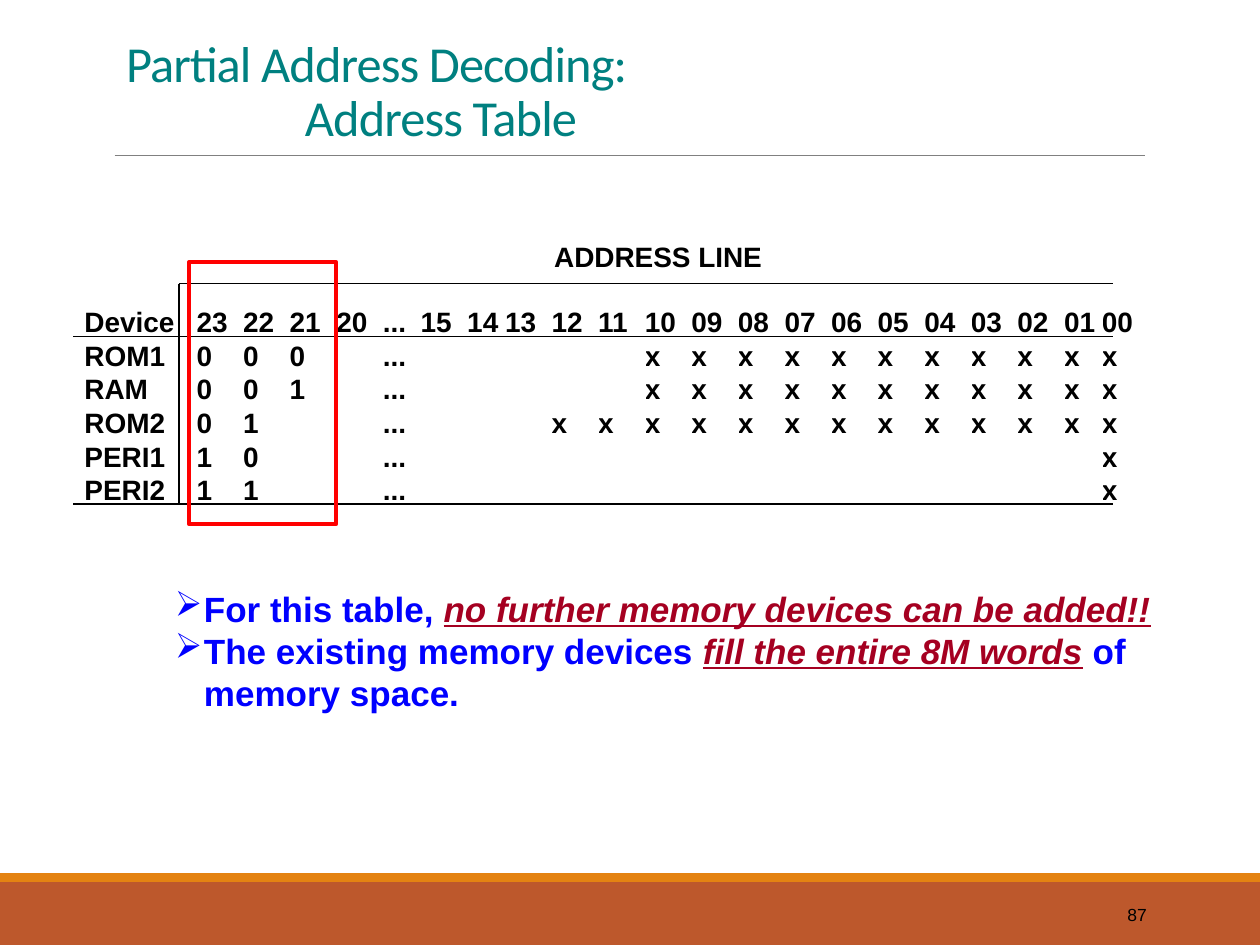
from dataclasses import dataclass

from lxml import etree
from pptx import Presentation
from pptx.dml.color import RGBColor
from pptx.enum.shapes import MSO_CONNECTOR, MSO_SHAPE
from pptx.enum.text import MSO_ANCHOR, MSO_AUTO_SIZE, PP_ALIGN
from pptx.oxml.ns import qn
from pptx.util import Inches, Pt

STRAIGHT = MSO_CONNECTOR.STRAIGHT
RECTANGLE = MSO_SHAPE.RECTANGLE
TOP, MIDDLE, BOTTOM = MSO_ANCHOR.TOP, MSO_ANCHOR.MIDDLE, MSO_ANCHOR.BOTTOM
LEFT, RIGHT = PP_ALIGN.LEFT, PP_ALIGN.RIGHT
NO_AUTOFIT = MSO_AUTO_SIZE.NONE
TITLE_ONLY = 5


@dataclass(frozen=True)
class Theme:
    title_font: str = "Calibri"
    body_font: str = "Arial"
    title_size: float = 28.8
    table_size: int = 16
    note_size: int = 20
    number_size: int = 10
    title: str = "008080"
    text: str = "000000"
    note: str = "0000FF"
    emphasis: str = "A50021"
    highlight: str = "FF0000"
    divider: str = "808080"
    footer: str = "BD582C"
    footer_edge: str = "E48312"


THEME = Theme()

ADDRESS_LINES = ["23", "22", "21", "20", "...", "15", "14"] + [
    f"{line:02d}" for line in range(13, -1, -1)
]
NARROW_LINES = ("...", "14", "01")
DEVICES = [
    ("ROM1", "000", 11),
    ("RAM", "001", 11),
    ("ROM2", "01", 13),
    ("PERI1", "10", 1),
    ("PERI2", "11", 1),
]
RULES = [
    (1.42, 2.25, 8.83, 2.25),
    (0.58, 2.67, 8.83, 2.67),
    (1.42, 2.25, 1.42, 4),
    (0.58, 4, 8.83, 4),
]
NOTES = [
    [("For this table, ", False), ("no further memory devices can be added!!", True)],
    [
        ("The existing memory devices ", False),
        ("fill the entire 8M words", True),
        (" of memory space.", False),
    ],
]


def style(run, size, color, bold=False, font=THEME.body_font):
    run.font.name = font
    run.font.size = Pt(size)
    run.font.bold = bold
    run.font.color.rgb = RGBColor.from_string(color)


def add_text(slide, left, top, width, height, anchor=TOP):
    frame = slide.shapes.add_textbox(
        Inches(left), Inches(top), Inches(width), Inches(height)
    ).text_frame
    frame.word_wrap = True
    frame.vertical_anchor = anchor
    return frame


def add_label(slide, text, bounds, size, bold=False, align=LEFT, anchor=TOP):
    paragraph = add_text(slide, *bounds, anchor).paragraphs[0]
    paragraph.text = text
    paragraph.alignment = align
    style(paragraph.runs[0], size, THEME.text, bold)


def add_box(slide, left, top, width, height, fill=None, outline=None):
    box = slide.shapes.add_shape(
        RECTANGLE, Inches(left), Inches(top), Inches(width), Inches(height)
    )
    box.shadow.inherit = False
    if fill:
        box.fill.solid()
        box.fill.fore_color.rgb = RGBColor.from_string(fill)
    else:
        box.fill.background()
    if outline:
        box.line.color.rgb = RGBColor.from_string(outline)
        box.line.width = Pt(2.25)
    else:
        box.line.fill.background()


def add_rule(slide, x1, y1, x2, y2, color=THEME.text, width=1):
    rule = slide.shapes.add_connector(
        STRAIGHT, Inches(x1), Inches(y1), Inches(x2), Inches(y2)
    )
    rule.line.color.rgb = RGBColor.from_string(color)
    rule.line.width = Pt(width)
    etree.SubElement(rule._element.spPr, qn("a:effectLst"))


def set_title(slide):
    title = slide.shapes.title
    title.left, title.top = Inches(0.9), Inches(0.31)
    title.width, title.height = Inches(8.25), Inches(0.91)
    frame = title.text_frame
    frame.text = "Partial Address Decoding:\nAddress Table"
    frame.auto_size = NO_AUTOFIT
    frame.vertical_anchor = BOTTOM
    for paragraph in frame.paragraphs:
        paragraph.alignment = LEFT
        paragraph.line_spacing = 0.9
        paragraph.space_before = Pt(0)
        run = paragraph.runs[0]
        style(run, THEME.title_size, THEME.title, font=THEME.title_font)
        run.font._element.set("spc", "-50")
    frame.paragraphs[1]._p.get_or_add_pPr().set("marL", str(Inches(1.42)))


def device_row(name, selected, wildcards):
    gap = len(ADDRESS_LINES) - 5 - wildcards
    return [name, *selected.ljust(4).replace(" ", "-"), "..."] + ["-"] * gap + ["x"] * wildcards


def fill_cell(cell, text):
    cell.fill.background()
    cell.margin_left = cell.margin_right = 0
    cell.margin_top = cell.margin_bottom = 0
    cell.vertical_anchor = MIDDLE
    cell.text_frame.word_wrap = False
    paragraph = cell.text_frame.paragraphs[0]
    if text == "-":
        etree.SubElement(
            paragraph._p, qn("a:endParaRPr"), sz=str(THEME.table_size * 100)
        )
    else:
        paragraph.text = text
        style(paragraph.runs[0], THEME.table_size, THEME.text, True)


def add_address_table(slide):
    rows = [["Device", *ADDRESS_LINES]] + [device_row(*device) for device in DEVICES]
    widths = [0.89] + [0.3 if line in NARROW_LINES else 0.37 for line in ADDRESS_LINES]
    row_height = Inches(1.6 / len(rows))
    table = slide.shapes.add_table(
        len(rows), len(widths), Inches(0.67), Inches(2.43),
        Inches(sum(widths)), row_height * len(rows),
    ).table
    table.first_row = table.horz_banding = False
    for column, width in zip(table.columns, widths):
        column.width = Inches(width)
    for row, texts in zip(table.rows, rows):
        row.height = row_height
        for cell, text in zip(row.cells, texts):
            fill_cell(cell, text)


def add_notes(slide):
    frame = add_text(slide, 1.29, 4.61, 8.12, 1.1)
    for index, parts in enumerate(NOTES):
        paragraph = frame.add_paragraph() if index else frame.paragraphs[0]
        properties = paragraph._p.get_or_add_pPr()
        properties.set("marL", str(Inches(0.23)))
        properties.set("indent", str(-Inches(0.23)))
        etree.SubElement(properties, qn("a:buChar"), char="➢")
        for text, emphasised in parts:
            run = paragraph.add_run()
            run.text = text
            color = THEME.emphasis if emphasised else THEME.note
            style(run, THEME.note_size, color, True)
            run.font.italic = run.font.underline = emphasised


def main():
    deck = Presentation()
    deck.slide_width, deck.slide_height = Inches(10), Inches(7.5)
    slide = deck.slides.add_slide(deck.slide_layouts[TITLE_ONLY])
    add_box(slide, 0, 7, 10, 0.5, fill=THEME.footer)
    add_box(slide, 0, 6.93, 10, 0.07, fill=THEME.footer_edge)
    add_rule(slide, 0.91, 1.23, 9.09, 1.23, THEME.divider, 0.5)
    add_label(slide, "87", (8.12, 7.06, 1.08, 0.4), THEME.number_size,
              align=RIGHT, anchor=MIDDLE)
    set_title(slide)
    add_label(slide, "ADDRESS LINE", (4.3, 1.85, 2, 0.35), THEME.table_size, bold=True)
    add_address_table(slide)
    for rule in RULES:
        add_rule(slide, *rule)
    add_notes(slide)
    add_box(slide, 1.5, 2.08, 1.17, 2.08, outline=THEME.highlight)
    deck.save("out.pptx")


if __name__ == "__main__":
    main()
